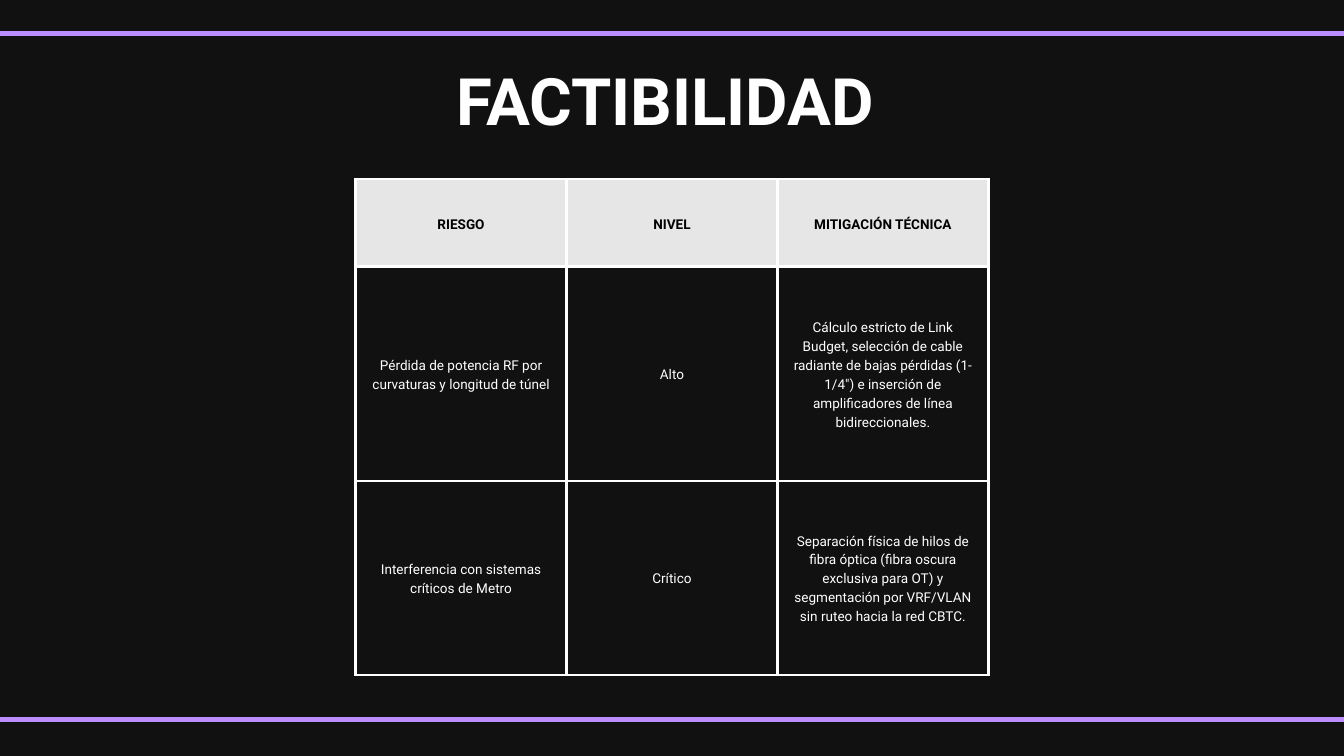
from dataclasses import dataclass

from lxml import etree
from pptx import Presentation
from pptx.dml.color import RGBColor
from pptx.enum.shapes import MSO_CONNECTOR
from pptx.enum.text import MSO_ANCHOR, PP_ALIGN
from pptx.oxml.ns import qn
from pptx.util import Pt

STRAIGHT = MSO_CONNECTOR.STRAIGHT
CENTER = PP_ALIGN.CENTER
MIDDLE = MSO_ANCHOR.MIDDLE
PX = 9525  # EMU per px, 96 px to the inch
WIDTH, HEIGHT = 1920, 1080


@dataclass(frozen=True)
class Theme:
    font: str = "Roboto"
    background: str = "121111"
    accent: str = "BC8DFF"
    light: str = "FFFFFF"
    dark: str = "000000"
    header: str = "E6E6E6"
    title_size: float = 70
    title_leading: float = 98
    cell_size: float = 14.5
    cell_leading: float = 20.3
    rule_width: float = 5.25
    border_width: float = 3


THEME = Theme()
ROWS = [
    ("RIESGO", "NIVEL", "MITIGACIÓN TÉCNICA"),
    ("Pérdida de potencia RF por curvaturas y longitud de túnel", "Alto",
     "Cálculo estricto de Link Budget, selección de cable radiante de bajas "
     "pérdidas (1-1/4\") e inserción de amplificadores de línea bidireccionales."),
    ("Interferencia con sistemas críticos de Metro", "Crítico",
     "Separación física de hilos de fibra óptica (fibra oscura exclusiva para OT) "
     "y segmentación por VRF/VLAN sin ruteo hacia la red CBTC."),
]
ROW_HEIGHTS = (125, 306, 277)


def px(*lengths):
    return [n * PX for n in lengths]


def rgb(color):
    return RGBColor.from_string(color)


def write(tf, text, size, leading, color, bold=False, inset=0):
    tf.word_wrap = True
    tf.margin_left = tf.margin_top = tf.margin_right = tf.margin_bottom = inset * PX
    p = tf.paragraphs[0]
    p.alignment = CENTER
    p.line_spacing = Pt(leading)
    r = p.add_run()
    r.text = text
    r.font.name = THEME.font
    r.font.size = Pt(size)
    r.font.bold = bold
    r.font.color.rgb = rgb(color)


def add_rule(s, x, y, width):
    line = s.shapes.add_connector(STRAIGHT, *px(x, y, x + width, y))
    line.line.color.rgb = rgb(THEME.accent)
    line.line.width = Pt(THEME.rule_width)
    etree.SubElement(line._element.spPr, qn("a:effectLst"))


def add_title(s, x, y, width, height):
    box = s.shapes.add_textbox(*px(x, y, width, height))
    write(box.text_frame, "FACTIBILIDAD", THEME.title_size,
          THEME.title_leading, THEME.light, bold=True)


def set_borders(cell):
    tc_pr = cell._tc.get_or_add_tcPr()
    # Borders come before the fill in the cell properties
    for i, side in enumerate(("a:lnL", "a:lnR", "a:lnT", "a:lnB")):
        ln = etree.Element(qn(side), w=str(Pt(THEME.border_width)))
        fill = etree.SubElement(ln, qn("a:solidFill"))
        etree.SubElement(fill, qn("a:srgbClr"), val=THEME.light)
        tc_pr.insert(i, ln)


def add_risk_table(s, x, y, width, height):
    frame = s.shapes.add_table(len(ROWS), len(ROWS[0]), *px(x, y, width, height))
    table = frame.table
    for row, row_height in zip(table.rows, ROW_HEIGHTS):
        row.height = row_height * PX
    for i, texts in enumerate(ROWS):
        is_header = i == 0
        for j, text in enumerate(texts):
            cell = table.cell(i, j)
            if is_header:
                cell.fill.solid()
                cell.fill.fore_color.rgb = rgb(THEME.header)
            else:
                cell.fill.background()
            set_borders(cell)
            cell.vertical_anchor = MIDDLE
            cell.margin_left = cell.margin_right = 20 * PX
            cell.margin_top = cell.margin_bottom = 20 * PX
            write(cell.text_frame, text, THEME.cell_size, THEME.cell_leading,
                  THEME.dark if is_header else THEME.light,
                  bold=is_header, inset=20)


def build_slide(prs):
    s = prs.slides.add_slide(prs.slide_layouts[6])
    s.background.fill.solid()
    s.background.fill.fore_color.rgb = rgb(THEME.background)
    # Rules along the top and bottom
    for y in (48, 1028):
        add_rule(s, 0, y, WIDTH)
    # Risk table and title
    add_risk_table(s, 508, 256, 904, sum(ROW_HEIGHTS))
    add_title(s, 235, 68, 1431, 127)


def main():
    prs = Presentation()
    prs.slide_width, prs.slide_height = px(WIDTH, HEIGHT)
    build_slide(prs)
    prs.save("out.pptx")


if __name__ == "__main__":
    main()
